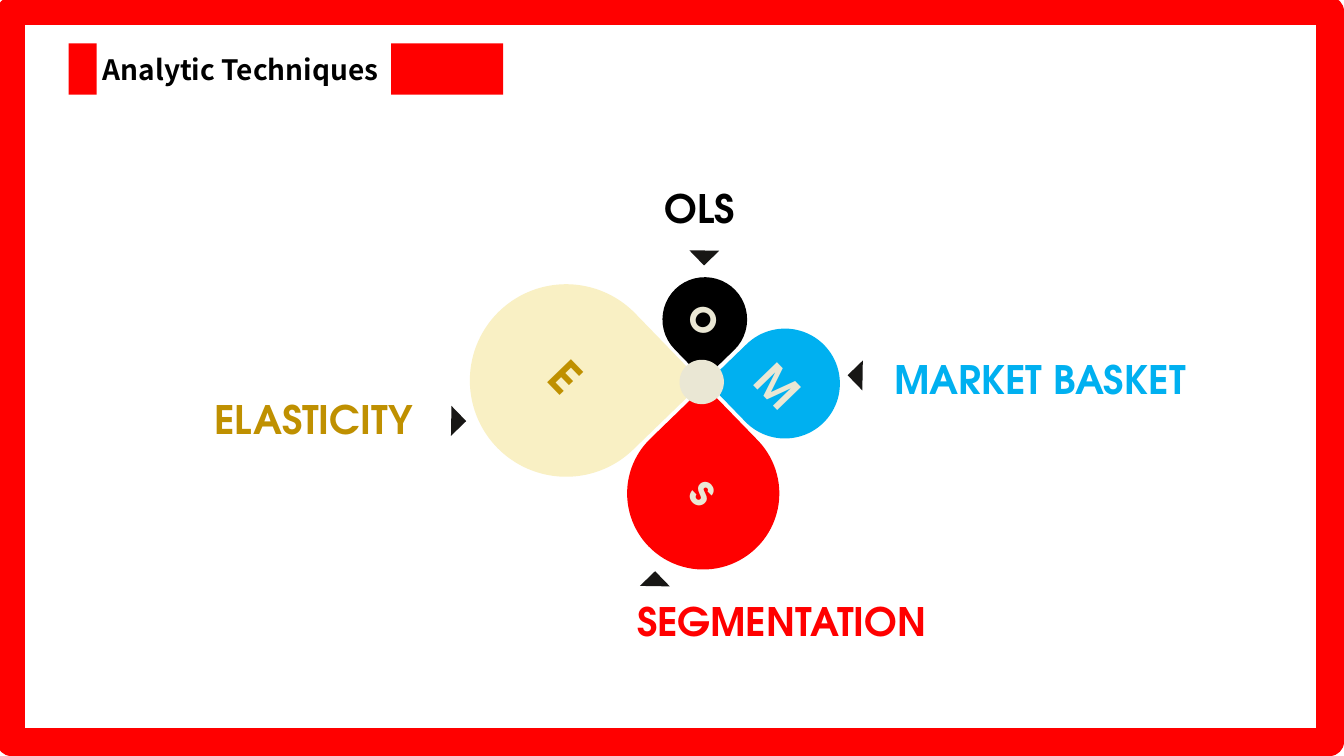
import pptx
import pptx.util
import pptx.dml.color
import pptx.enum.shapes
import pptx.enum.text

Inches = pptx.util.Inches
SHAPE = pptx.enum.shapes.MSO_SHAPE
COLORS = {
    "red": "FF0000", "blue": "00B0F0", "black": "000000", "cream": "F9F0C4",
    "gold": "BF9000", "ivory": "EAE7D4", "ink": "181715",
}
LABEL_FONT = "TeX Gyre Adventor"
TILT = 45.9  # the whole flower is turned by this angle

deck = pptx.Presentation()
deck.slide_width, deck.slide_height = Inches(13.33), Inches(7.5)
page = deck.slides.add_slide(deck.slide_layouts[6])


def add_block(kind, left, top, width, height, color, rotation=0):
    block = page.shapes.add_shape(
        kind, Inches(left), Inches(top), Inches(width), Inches(height))
    block.shadow.inherit = False
    block.rotation = rotation
    block.fill.solid()
    block.fill.fore_color.rgb = pptx.dml.color.RGBColor.from_string(COLORS[color])
    block.line.fill.background()
    return block


def add_label(text, left, top, width, height, size, color,
              font=LABEL_FONT, rotation=0, wrap=False):
    box = page.shapes.add_textbox(
        Inches(left), Inches(top), Inches(width), Inches(height))
    box.rotation = rotation
    box.text_frame.word_wrap = wrap
    box.text_frame.auto_size = pptx.enum.text.MSO_AUTO_SIZE.SHAPE_TO_FIT_TEXT
    para = box.text_frame.paragraphs[0]
    para.text = text
    para.font.name = font
    para.font.size = pptx.util.Pt(size)
    para.font.bold = True
    para.font.color.rgb = pptx.dml.color.RGBColor.from_string(COLORS[color])


# Frame around the page
frame = add_block(SHAPE.RECTANGLE, 0.11, 0.11, 13.08, 7.25, "red")
frame.fill.background()
frame.line.color.rgb = pptx.dml.color.RGBColor.from_string(COLORS["red"])
frame.line.width = pptx.util.Pt(20)

# Title between two red bars
for left, width in [(0.68, 0.28), (3.88, 1.11)]:
    add_block(SHAPE.RECTANGLE, left, 0.43, width, 0.51, "red")
add_label("Analytic Techniques", 0.92, 0.47, 3.11, 0.44, 20, "black",
          font="Noto Sans CJK SC", wrap=True)

# Petals: left, top, size, colour, quarter turns
petals = [
    (4.66, 2.82, 1.91, "cream", 0),
    (6.22, 4.14, 1.51, "red", 3),
    (7.24, 3.26, 1.09, "blue", 2),
    (6.57, 2.75, 0.84, "black", 1),
]
for left, top, size, color, turns in petals:
    add_block(SHAPE.TEAR, left, top, size, size, color, TILT + 90 * turns)
add_block(SHAPE.OVAL, 6.74, 3.57, 0.44, 0.44, "ivory", TILT)

# Pointers from the labels to the petals: left, top, quarter turns
pointers = [(8.45, 3.62, 0), (6.88, 2.38, 3), (6.39, 5.71, 1), (4.37, 4.07, 2)]
for left, top, turns in pointers:
    add_block(SHAPE.RIGHT_TRIANGLE, left, top, 0.21, 0.21, "ink", TILT + 90 * turns)

# Initials on the petals
initials = [
    ("E", 5.4, 3.42, 0.44, "gold"),
    ("s", 6.8, 4.55, 0.4, "ivory"),
    ("M", 7.42, 3.51, 0.61, "ivory"),
    ("o", 6.77, 2.82, 0.49, "ivory"),
]
for text, left, top, width, color in initials:
    add_label(text, left, top, width, 0.64, 32, color, rotation=TILT)

# Technique names
techniques = [
    ("MARKET BASKET", 8.77, 3.48, 3.13, "blue", False),
    ("SEGMENTATION", 6.22, 5.88, 3.14, "red", False),
    ("ELASTICITY", 2.03, 3.87, 2.21, "gold", True),
    ("OLS", 6.49, 1.78, 0.91, "black", False),
]
for text, left, top, width, color, wrap in techniques:
    add_label(text, left, top, width, 0.57, 28, color, wrap=wrap)

deck.save("out.pptx")
